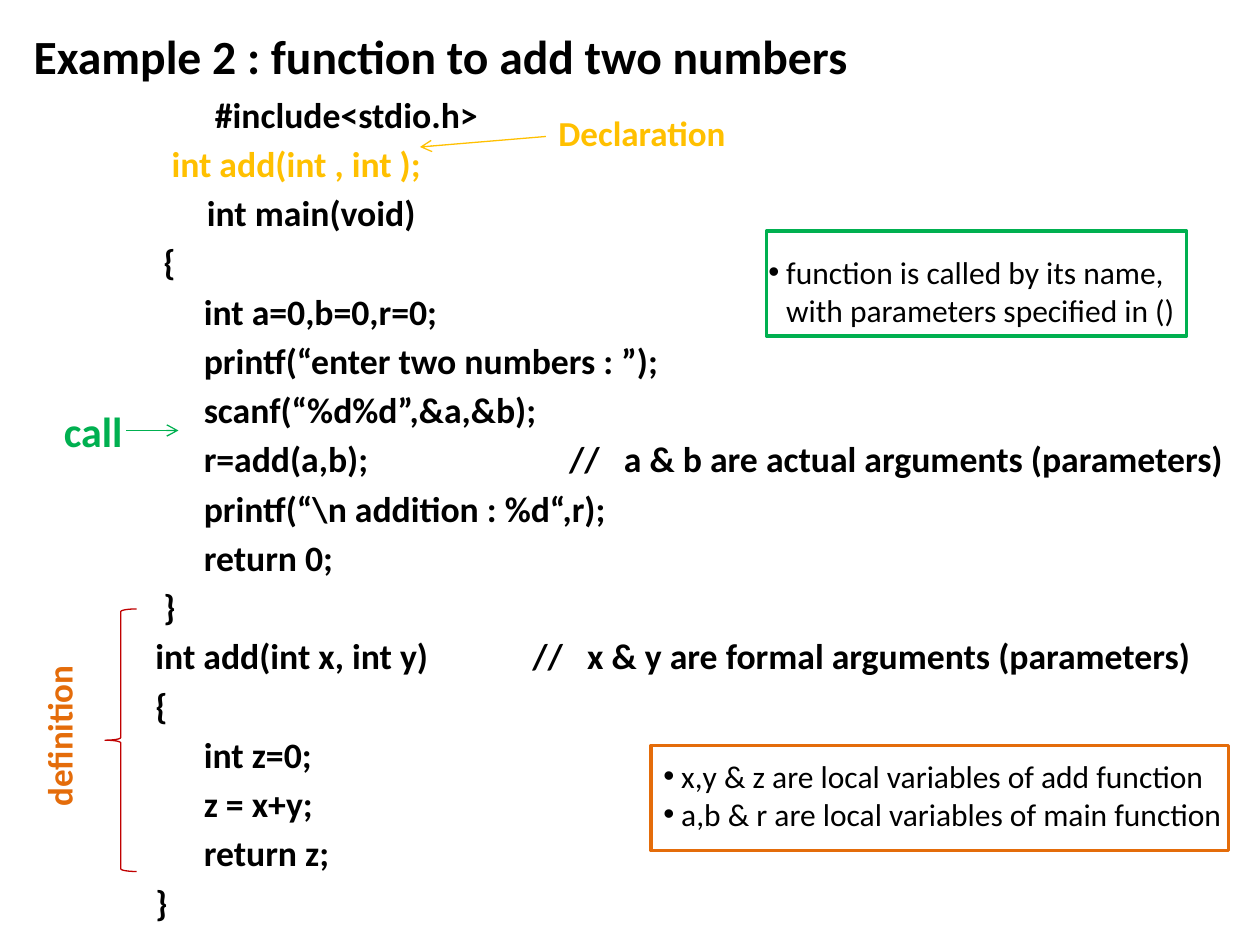
from lxml.etree import SubElement
from pptx import Presentation
from pptx.dml.color import RGBColor
from pptx.enum.shapes import MSO_CONNECTOR, MSO_SHAPE
from pptx.enum.text import MSO_ANCHOR, MSO_AUTO_SIZE, PP_ALIGN
from pptx.oxml.ns import qn
from pptx.util import Pt

SCALE = 7620  # EMU per px, 120 px to the inch

BLACK = RGBColor(0x00, 0x00, 0x00)
GOLD = RGBColor(0xFF, 0xC0, 0x00)
GREEN = RGBColor(0x00, 0xB0, 0x50)
ORANGE = RGBColor(0xE4, 0x6C, 0x0A)
RED = RGBColor(0xC0, 0x00, 0x00)

# Code lines: text, tab stop in px, colour
CODE = [
    ("\t #include<stdio.h>", 49, BLACK),
    ("  int add(int , int );", None, GOLD),
    ("\tint main(void)", 49, BLACK),
    (" {", None, BLACK),
    ("      int a=0,b=0,r=0;", None, BLACK),
    ("      printf(“enter two numbers : ”);", None, BLACK),
    ("      scanf(“%d%d”,&a,&b);", None, BLACK),
    ("      r=add(a,b);\t//   a & b are actual arguments (parameters)", 394, BLACK),
    ("      printf(“\\n addition : %d“,r);", None, BLACK),
    ("      return 0;", None, BLACK),
    (" }", None, BLACK),
    ("int add(int x, int y)\t//   x & y are formal arguments (parameters)", 359, BLACK),
    ("{", None, BLACK),
    ("      int z=0;", None, BLACK),
    ("      z = x+y;", None, BLACK),
    ("      return z;", None, BLACK),
    ("}", None, BLACK),
]


def px(*vals):
    return [v * SCALE for v in vals]


def apply(obj, vals):
    for key, val in vals.items():
        setattr(obj, key, val)


class Page:
    """Holds the style and the current slide."""

    face = "Calibri"
    thin, thick = Pt(0.75), Pt(2)

    def __init__(self, deck):
        self.slide = deck.slides.add_slide(deck.slide_layouts[5])
        self.shapes = self.slide.shapes

    def style(self, para, size, color, bold):
        look = {"name": self.face, "size": Pt(size), "bold": bold}
        for run in para.runs:
            apply(run.font, look)
            run.font.color.rgb = color

    def title(self, text, box, size):
        shape = self.shapes.title
        apply(shape, dict(zip(("left", "top", "width", "height"), px(*box))))
        frame = shape.text_frame
        frame.text = text
        apply(frame, {"auto_size": MSO_AUTO_SIZE.NONE, "word_wrap": True,
                      "vertical_anchor": MSO_ANCHOR.TOP})
        para = frame.paragraphs[0]
        para.alignment = PP_ALIGN.LEFT
        self.style(para, size, BLACK, True)

    def text(self, lines, box, size, color=BLACK, bold=True, dots=False, turn=False):
        frame = self.shapes.add_textbox(*px(*box)).text_frame
        frame.word_wrap = False
        if turn:
            frame._txBody.bodyPr.set("vert", "vert270")
        for i, line in enumerate(lines):
            para = frame.add_paragraph() if i else frame.paragraphs[0]
            para.text = line
            if dots:
                self.bullet(para)
            self.style(para, size, color, bold)

    def bullet(self, para, hang=17):
        props = para._p.get_or_add_pPr()
        props.set("marL", str(hang * SCALE))
        props.set("indent", str(-hang * SCALE))
        SubElement(props, qn("a:buFont")).set("typeface", "Arial")
        SubElement(props, qn("a:buChar")).set("char", "•")

    def code(self, lines, box, size, gap):
        frame = self.shapes.add_textbox(*px(*box)).text_frame
        apply(frame, {"word_wrap": True, "margin_left": 0, "margin_right": 0,
                      "margin_top": 0, "margin_bottom": 0})
        for i, (line, stop, color) in enumerate(lines):
            para = frame.add_paragraph() if i else frame.paragraphs[0]
            para.text = line
            if stop:
                tabs = SubElement(para._p.get_or_add_pPr(), qn("a:tabLst"))
                tab = SubElement(tabs, qn("a:tab"))
                tab.set("pos", str(stop * SCALE))
                tab.set("algn", "l")
            para.space_before = Pt(gap if i else 0)
            self.style(para, size, color, True)

    def shape(self, kind, box, color, width):
        shape = self.shapes.add_shape(kind, *px(*box))
        shape.shadow.inherit = False
        shape.fill.background()
        shape.line.color.rgb = color
        shape.line.width = width

    def arrow(self, ends, color):
        link = self.shapes.add_connector(MSO_CONNECTOR.STRAIGHT, *px(*ends))
        link.line.color.rgb = color
        link.line.width = self.thin
        props = link.element.spPr
        SubElement(props.find(qn("a:ln")), qn("a:tailEnd")).set("type", "arrow")
        SubElement(props, qn("a:effectLst"))


def main():
    deck = Presentation()
    deck.slide_width, deck.slide_height = px(1200, 900)
    page = Page(deck)

    # Heading and program
    page.title("Example 2 : function to add two numbers", (20, 20, 1160, 66), 27.2)
    page.code(CODE, (148, 88, 1040, 792), 20.4, 3.67)

    # Definition
    page.shape(MSO_SHAPE.LEFT_BRACE, (100, 580, 30, 250), RED, page.thin)
    page.text(["definition"], (30, 632, 65, 148), 20, ORANGE, turn=True)

    # Call
    page.text(["call"], (49, 380, 80, 60), 24, GREEN)
    page.arrow((120, 410, 170, 410), GREEN)

    # Declaration
    page.text(["Declaration"], (520, 100, 185, 53), 20, GOLD)
    page.arrow((520, 130, 400, 140), GOLD)

    # Notes in frames
    page.text(["x,y & z are local variables of add function",
               "a,b & r are local variables of main function"],
              (620, 715, 563, 85), 18, bold=False, dots=True)
    page.shape(MSO_SHAPE.RECTANGLE, (620, 710, 550, 100), ORANGE, page.thick)
    page.text(["function is called by its name,\vwith parameters specified in ()"],
              (720, 235, 420, 85), 18, bold=False, dots=True)
    page.shape(MSO_SHAPE.RECTANGLE, (730, 220, 400, 100), GREEN, page.thick)

    deck.save("out.pptx")


if __name__ == "__main__":
    main()
